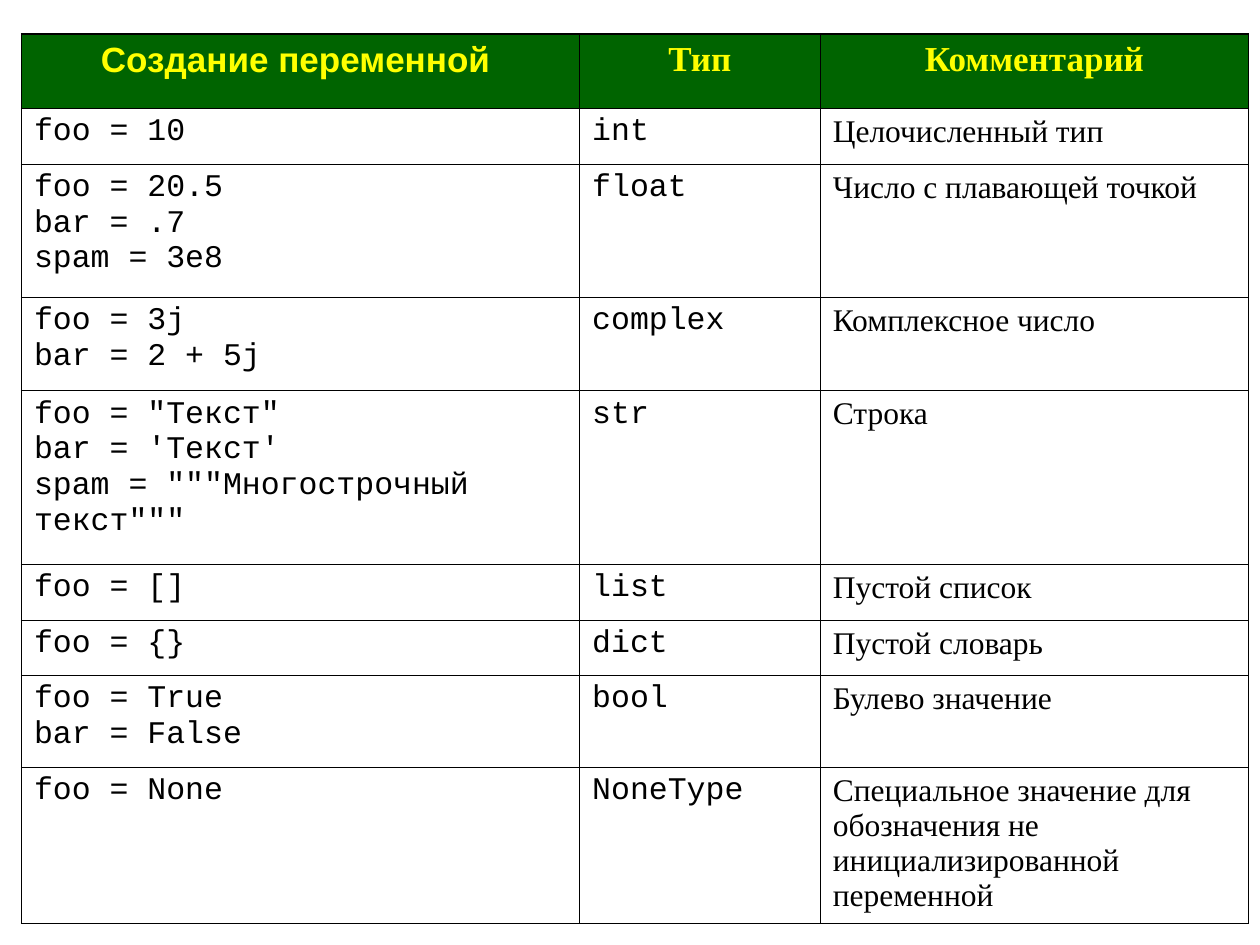
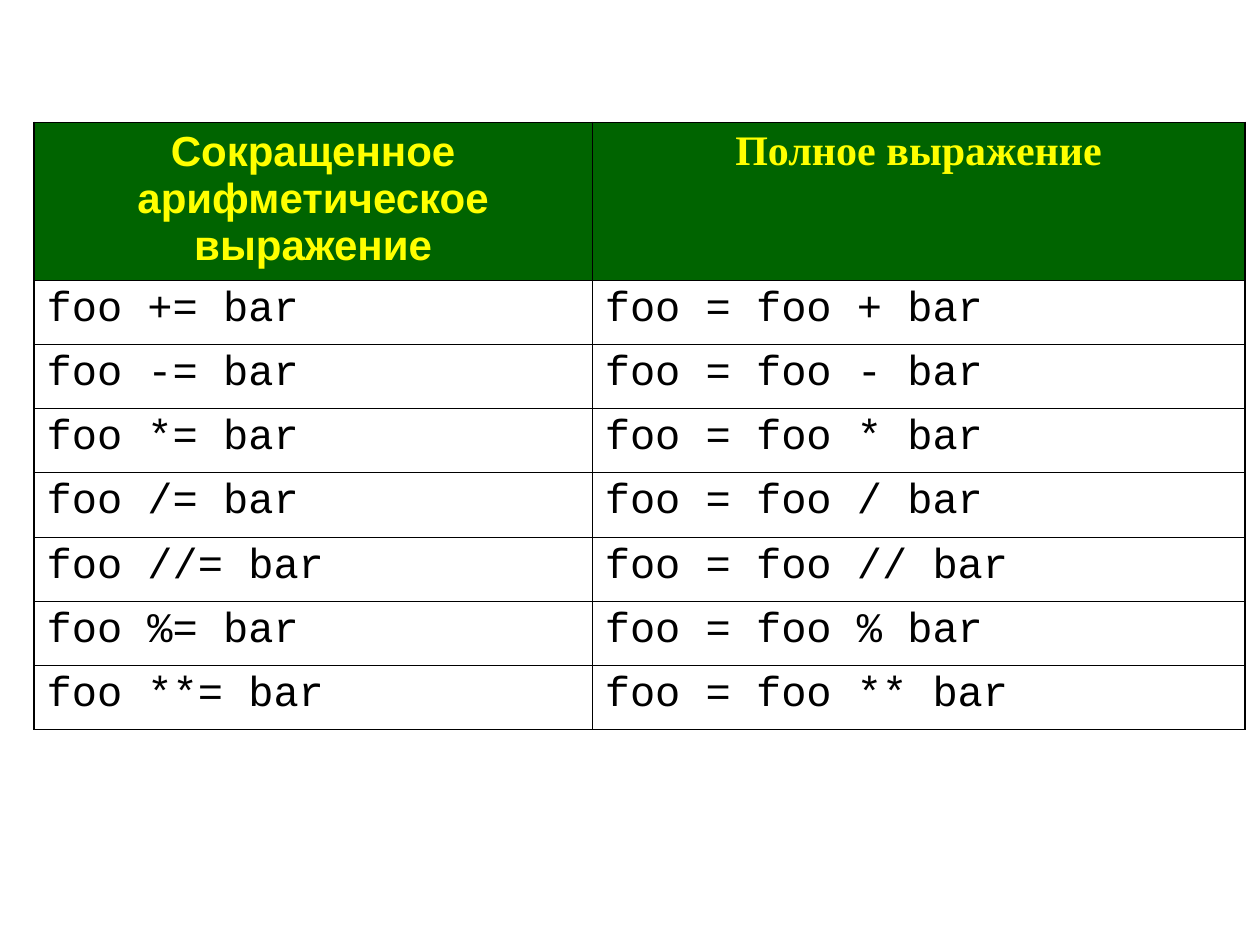
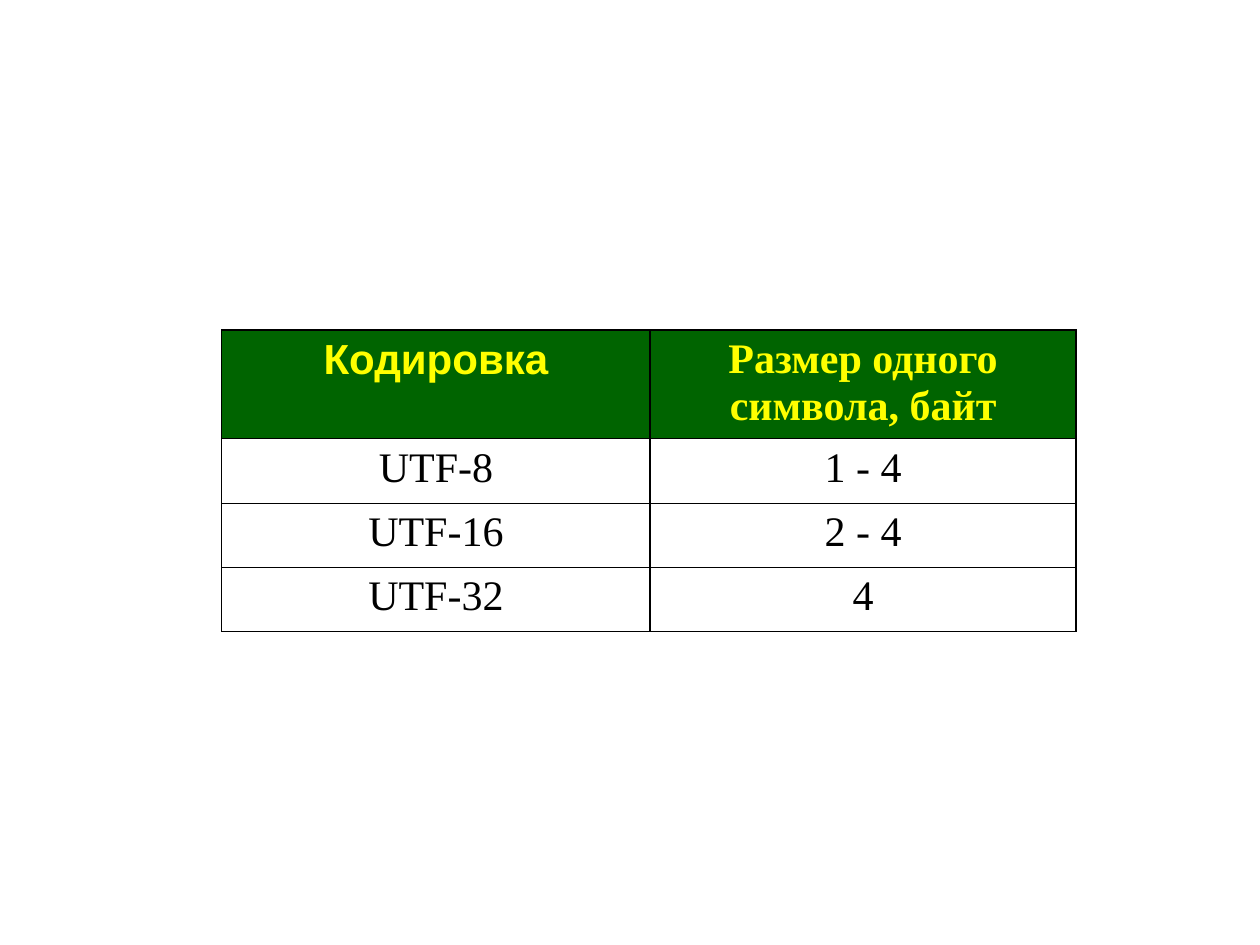
import dataclasses

import lxml.etree
import pptx
import pptx.dml.color
import pptx.enum.text
import pptx.oxml.ns
import pptx.util

Inches = pptx.util.Inches
ALIGN = pptx.enum.text.PP_ALIGN


@dataclasses.dataclass(frozen=True)
class Theme:
    head: str = "006400"
    title: str = "FFFF00"
    ink: str = "000000"
    sans: str = "Arial"
    serif: str = "Times New Roman"
    code: str = "Courier New"
    small: int = 18
    mid: int = 20
    large: int = 24
    rule: float = 0.85
    hair: float = 0.06
    plain: str = "{2D5ABB26-0587-4C30-8999-92F81FD0307C}"


THEME = Theme()

TYPES = [
    ("foo = 10", "int", "Целочисленный тип"),
    ("foo = 20.5\nbar = .7\nspam = 3e8", "float", "Число с плавающей точкой"),
    ("foo = 3j\nbar = 2 + 5j", "complex", "Комплексное число"),
    ("foo = \"Текст\"\nbar = 'Текст'\nspam = \"\"\"Многострочный\nтекст\"\"\"",
     "str", "Строка"),
    ("foo = []", "list", "Пустой список"),
    ("foo = {}", "dict", "Пустой словарь"),
    ("foo = True\nbar = False", "bool", "Булево значение"),
    ("foo = None", "NoneType",
     "Специальное значение для обозначения не инициализированной переменной"),
]
SIGNS = ["+", "-", "*", "/", "//", "%", "**"]
CODECS = [("UTF-8", "1 - 4"), ("UTF-16", "2 - 4"), ("UTF-32", "4")]


def write(frame, text, *, font, size, color=THEME.ink, bold=False, align=ALIGN.LEFT):
    """Fill the frame, one paragraph for each line of text."""
    frame.word_wrap = True
    for i, line in enumerate(text.split("\n")):
        para = frame.paragraphs[0] if i == 0 else frame.add_paragraph()
        para.alignment = align
        run = para.add_run()
        run.text = line
        run.font.name = font
        run.font.size = pptx.util.Pt(size)
        run.font.bold = bold
        run.font.color.rgb = pptx.dml.color.RGBColor.from_string(color)


def edge(cell, top, bottom):
    """Draw the cell borders; a width of zero means no line."""
    qn = pptx.oxml.ns.qn
    props = cell._tc.get_or_add_tcPr()
    widths = {"L": THEME.rule, "R": THEME.rule, "T": top, "B": bottom}
    for i, (side, width) in enumerate(widths.items()):
        line = lxml.etree.Element(qn(f"a:ln{side}"), w=str(int(pptx.util.Pt(width))))
        if width:
            fill = lxml.etree.SubElement(line, qn("a:solidFill"))
            lxml.etree.SubElement(fill, qn("a:srgbClr"), val=THEME.ink)
        else:
            lxml.etree.SubElement(line, qn("a:noFill"))
        props.insert(i, line)


def grid(slide, left, top, cols, rows):
    """Add a plain table with the given column widths and row heights."""
    table = slide.shapes.add_table(
        len(rows), len(cols), Inches(left), Inches(top),
        Inches(sum(cols)), Inches(sum(rows))).table
    table._tbl.tblPr.find(pptx.oxml.ns.qn("a:tableStyleId")).text = THEME.plain
    table.horz_banding = False
    for col, width in zip(table.columns, cols):
        col.width = Inches(width)
    for row, height in zip(table.rows, rows):
        row.height = Inches(height)
    return table


def header(table, names, size):
    for i, name in enumerate(names):
        cell = table.cell(0, i)
        cell.fill.solid()
        cell.fill.fore_color.rgb = pptx.dml.color.RGBColor.from_string(THEME.head)
        write(cell.text_frame, name, font=THEME.serif if i else THEME.sans,
              size=size, color=THEME.title, bold=True, align=ALIGN.CENTER)
        edge(cell, THEME.rule, THEME.hair)


def body(table, data, fonts, size, align=ALIGN.LEFT, lines=False):
    """Fill the rows under the header; lines adds rules between them."""
    for r, row in enumerate(data, 1):
        for c, text in enumerate(row):
            cell = table.cell(r, c)
            cell.fill.background()
            write(cell.text_frame, text, font=fonts[c], size=size, align=align)
            last = r >= len(data) - 1
            edge(cell, THEME.hair if lines and r > 1 else 0,
                 THEME.rule if lines and last else THEME.hair)


def types(slide):
    table = grid(slide, 0.17, 0.27, [4.43, 1.91, 3.4],
                 [0.59, 0.44, 1.06, 0.74, 1.38, 0.44, 0.44, 0.73, 1.24])
    header(table, ["Создание переменной ", "Тип", "Комментарий"], THEME.mid)
    body(table, TYPES, [THEME.code, THEME.code, THEME.serif], THEME.small, lines=True)


def maths(slide):
    data = [(f"foo {sign}= bar", f"foo = foo {sign} bar") for sign in SIGNS]
    table = grid(slide, 0.27, 0.97, [4.43, 5.18], [1.25] + [0.51] * len(data))
    header(table, ["Сокращенное арифметическое выражение", "Полное выражение"],
           THEME.large)
    body(table, data, [THEME.code] * 2, THEME.large)


def codecs(slide):
    table = grid(slide, 1.76, 2.62, [3.4, 3.38], [0.86] + [0.51] * len(CODECS))
    header(table, ["Кодировка", "Размер одного символа, байт"], THEME.large)
    body(table, CODECS, [THEME.serif] * 2, THEME.large, align=ALIGN.CENTER)


def main():
    deck = pptx.Presentation()
    deck.slide_width = Inches(10)
    deck.slide_height = Inches(7.5)
    for build in (types, maths, codecs):
        build(deck.slides.add_slide(deck.slide_layouts[6]))
    deck.save("out.pptx")


if __name__ == "__main__":
    main()
